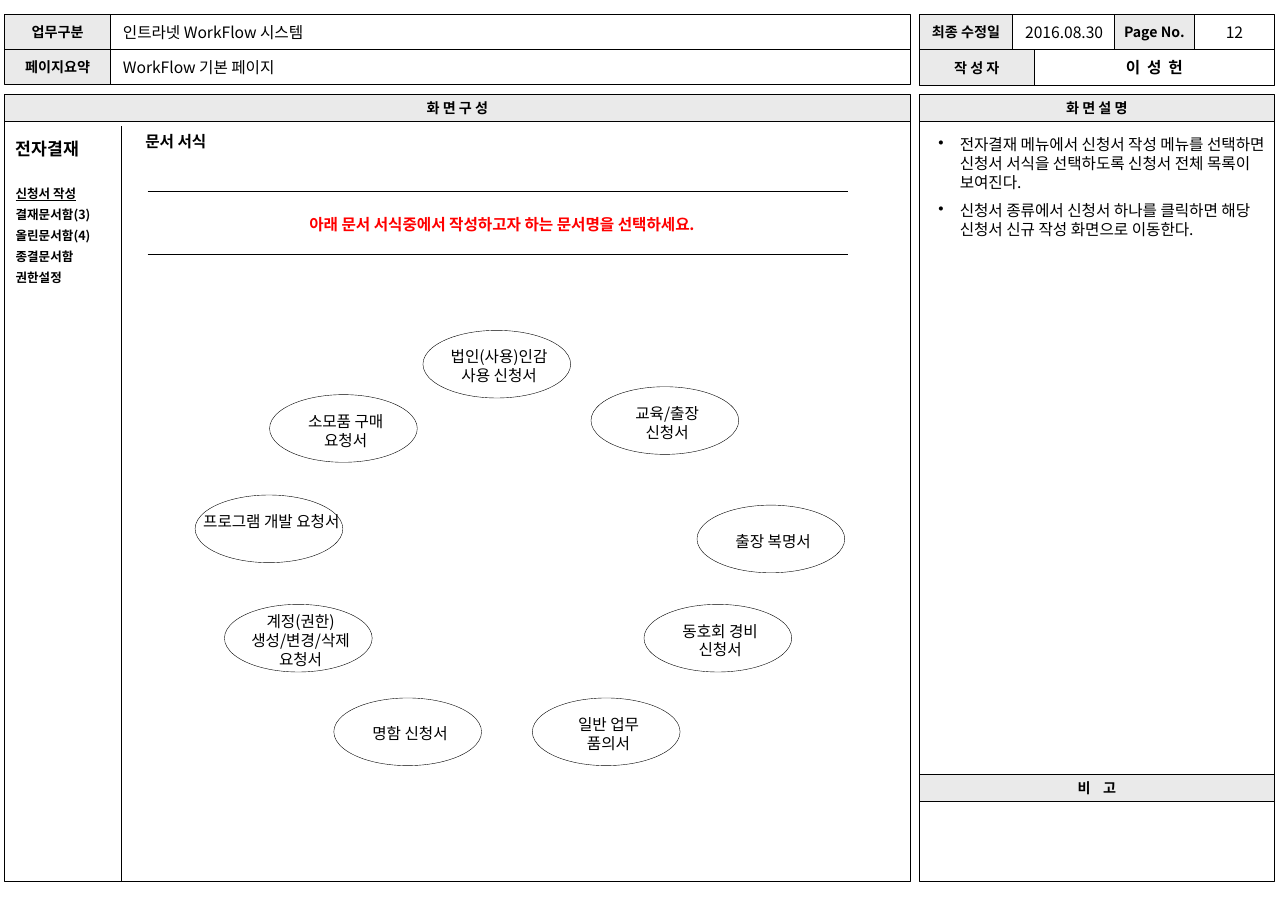
from lxml import etree
from pptx import Presentation
from pptx.dml.color import RGBColor
from pptx.enum import shapes, text
from pptx.oxml import ns
from pptx.util import Inches, Pt

FONT = "Noto Sans CJK KR"
COLORS = {"ink": "000000", "label": "EAEAEA", "notice": "FF0000"}
LEFT, CENTER = text.PP_ALIGN.LEFT, text.PP_ALIGN.CENTER
TOP, MIDDLE = text.MSO_ANCHOR.TOP, text.MSO_ANCHOR.MIDDLE
RECT, OVAL = shapes.MSO_SHAPE.RECTANGLE, shapes.MSO_SHAPE.OVAL


def color(name):
    return RGBColor.from_string(COLORS[name])


def write(paragraph, words, size=10, bold=False, ink="ink", align=LEFT, tracking=0):
    paragraph.alignment = align
    run = paragraph.add_run()
    run.text = words
    run.font.size = Pt(size)
    run.font.bold = bold
    run.font.name = FONT
    run.font.color.rgb = color(ink)
    properties = run.font._element
    etree.SubElement(properties, ns.qn("a:ea")).set("typeface", FONT)
    if tracking:
        properties.set("spc", str(tracking))
    return run


def set_frame(frame, insets, anchor=TOP, wrap=True):
    frame.margin_left, frame.margin_top, frame.margin_right, frame.margin_bottom = map(Inches, insets)
    frame.vertical_anchor = anchor
    frame.word_wrap = wrap


def paragraphs(frame, count):
    return [frame.paragraphs[0]] + [frame.add_paragraph() for _ in range(count - 1)]


def add_outline(parent, kind, box, fill=None, weight=0.75):
    outline = parent.add_shape(kind, *map(Inches, box))
    outline.shadow.inherit = False
    outline.line.color.rgb = color("ink")
    outline.line.width = Pt(weight)
    if fill:
        outline.fill.solid()
        outline.fill.fore_color.rgb = color(fill)
    else:
        outline.fill.background()
    return outline


def add_textbox(parent, box, insets=(0.1, 0.05, 0.1, 0.05), wrap=True):
    frame = parent.add_textbox(*map(Inches, box)).text_frame
    set_frame(frame, insets, wrap=wrap)
    frame.auto_size = text.MSO_AUTO_SIZE.SHAPE_TO_FIT_TEXT
    return frame


def add_rule(parent, x1, y1, x2, y2):
    rule = parent.add_connector(shapes.MSO_CONNECTOR.STRAIGHT, *map(Inches, (x1, y1, x2, y2)))
    rule.line.color.rgb = color("ink")
    rule.line.width = Pt(0.75)
    etree.SubElement(rule._element.spPr, ns.qn("a:effectLst"))


def add_label(parent, box, words, tracking=0):
    frame = add_outline(parent, RECT, box, "label").text_frame
    set_frame(frame, (0.1, 0.05, 0.1, 0.05), MIDDLE, False)
    write(frame.paragraphs[0], words, 9, True, align=CENTER, tracking=tracking)


def add_value(parent, box, words, align=LEFT, bold=False, tracking=0):
    frame = add_outline(parent, RECT, box).text_frame
    set_frame(frame, (0.11, 0.05, 0 if align == LEFT else 0.11, 0.05), MIDDLE)
    write(frame.paragraphs[0], words, bold=bold, align=align, tracking=tracking)


def add_summary(parent, left, top, width):
    label_width, height = 0.94, 0.31
    rows = [("업무구분", "인트라넷 WorkFlow 시스템"), ("페이지요약", "WorkFlow 기본 페이지")]
    for index, (label, value) in enumerate(rows):
        y = top + index * height
        add_label(parent, (left, y, label_width, height), label)
        add_value(parent, (left + label_width, y, width - label_width, height), value)


def add_document_info(parent, left, top, width):
    height, date_label, date, page_label, author_label = 0.31, 0.83, 0.9, 0.71, 1.02
    add_label(parent, (left, top, date_label, height), "최종 수정일")
    x = left + date_label
    add_value(parent, (x, top, date, height), "2016.08.30")
    x += date
    add_label(parent, (x, top, page_label, height), "Page No.")
    x += page_label
    add_value(parent, (x, top, left + width - x, height), "12", CENTER)
    y = top + height
    add_label(parent, (left, y, author_label, 0.32), "작 성 자")
    add_value(parent, (left + author_label, y, width - author_label, 0.32),
              "이 성 헌", CENTER, True, tracking=110)


def add_panel(parent, left, top, width, height, title, tracking=0):
    title_height = 0.24
    add_label(parent, (left, top, width, title_height), title, tracking)
    add_outline(parent, RECT, (left, top + title_height, width, height - title_height))


def add_menu(parent, left, top):
    entries = ["신청서 작성", "결재문서함(3)", "올린문서함(4)", "종결문서함", "권한설정"]
    frame = add_textbox(parent, (left, top, 0.91, 1.49), wrap=False)
    heading, *items = paragraphs(frame, len(entries) + 1)
    write(heading, "전자결재", 11, True)
    heading.line_spacing = 1.4
    for item, entry in zip(items, entries):
        run = write(item, entry, 8, True)
        item.line_spacing = 1.4
        run.font.underline = entry == entries[0]
    items[0].space_before = Pt(13.4)


def add_notice(parent, left, top, width):
    height = 0.56
    for y in (top, top + height):
        add_rule(parent, left, y, left + width, y)
    frame = add_textbox(parent, (left + 0.07, top + 0.09, width - 0.07, 0.34))
    notice = frame.paragraphs[0]
    notice.line_spacing = 1.4
    write(notice, "아래 문서 서식중에서 작성하고자 하는 문서명을 선택하세요.", 10, True, "notice", CENTER)


def add_form(parent, left, top, lines, rows=None):
    width, height, nudge = 1.31, 0.6, 0.02
    form = parent.add_group_shape().shapes
    add_outline(form, OVAL, (left, top, width, height), weight=0.25)
    text_height = 0.05 + 0.165 * (rows or len(lines))
    text_top = top + (height - text_height) / 2 + nudge
    frame = add_textbox(form, (left + nudge, text_top, width, text_height), (0.02,) * 4)
    for paragraph, line in zip(paragraphs(frame, len(lines)), lines):
        write(paragraph, line, align=CENTER)


def add_screen(parent, left, top, width, height):
    add_panel(parent, left, top, width, height, "화 면 구 성")
    add_rule(parent, left + 1.04, top + 0.28, left + 1.04, top + height)
    add_menu(parent, left, top + 0.26)
    heading = add_textbox(parent, (left + 1.15, top + 0.28, 0.8, 0.27), wrap=False)
    write(heading.paragraphs[0], "문서 서식", 10, True)
    add_notice(parent, left + 1.27, top + 0.86, 6.21)
    forms = [
        (3.71, 2.09, ["법인(사용)인감", "사용 신청서"]),
        (2.35, 2.66, ["소모품 구매", "요청서"]),
        (1.69, 3.55, ["프로그램 개발 요청서"], 2),
        (1.95, 4.52, ["계정(권한)", "생성/변경/삭제", "요청서"]),
        (2.92, 5.35, ["명함 신청서"]),
        (5.2, 2.59, ["교육/출장", "신청서"]),
        (6.14, 3.64, ["출장 복명서"]),
        (5.67, 4.52, ["동호회 경비", "신청서"]),
        (4.68, 5.35, ["일반 업무", "품의서"]),
    ]
    for x, y, *content in forms:
        add_form(parent, left + x, top + y, *content)


def add_description(parent, left, top, width, height):
    remarks_height = 0.95
    add_panel(parent, left, top, width, height - remarks_height, "화 면 설 명")
    add_panel(parent, left, top + height - remarks_height, width, remarks_height, "비 고", 300)
    notes = [
        "전자결재 메뉴에서 신청서 작성 메뉴를 선택하면 신청서 서식을 선택하도록 신청서 전체 목록이 보여진다.",
        "신청서 종류에서 신청서 하나를 클릭하면 해당 신청서 신규 작성 화면으로 이동한다.",
    ]
    frame = add_textbox(parent, (left + 0.17, top + 0.36, 2.93, 0.93), (0,) * 4)
    for paragraph, note in zip(paragraphs(frame, len(notes)), notes):
        write(paragraph, note)
        paragraph.space_before = Pt(6)
        properties = paragraph._p.get_or_add_pPr()
        properties.set("marL", str(Inches(0.19)))
        properties.set("indent", str(-Inches(0.19)))
        etree.SubElement(properties, ns.qn("a:buChar")).set("char", "•")


def main():
    deck = Presentation()
    deck.slide_width, deck.slide_height = Inches(11.42), Inches(8.07)
    page = deck.slides.add_slide(deck.slide_layouts[6]).shapes
    add_summary(page, 0.04, 0.13, 8.03)
    add_document_info(page, 8.15, 0.13, 3.15)
    add_screen(page, 0.04, 0.84, 8.03, 6.98)
    add_description(page, 8.15, 0.84, 3.15, 6.98)
    deck.save("out.pptx")


if __name__ == "__main__":
    main()
